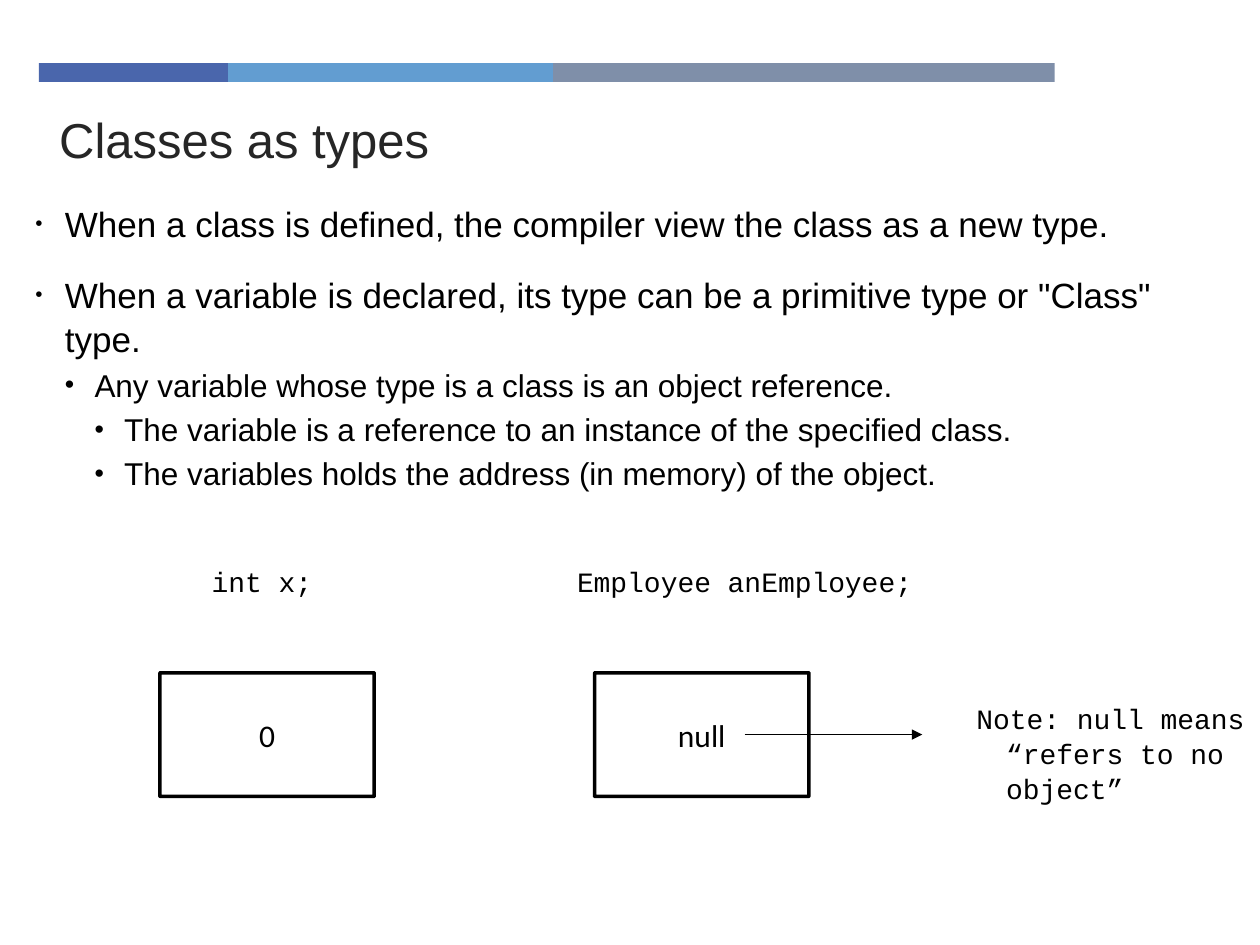
from itertools import accumulate

from lxml import etree
from pptx import Presentation
from pptx.dml.color import RGBColor
from pptx.enum.shapes import MSO_CONNECTOR, MSO_SHAPE
from pptx.enum.text import MSO_ANCHOR, MSO_AUTO_SIZE, PP_ALIGN
from pptx.oxml.ns import qn
from pptx.util import Inches, Pt

RECTANGLE, ROUNDED = MSO_SHAPE.RECTANGLE, MSO_SHAPE.ROUNDED_RECTANGLE
STRAIGHT = MSO_CONNECTOR.STRAIGHT
TOP, MIDDLE = MSO_ANCHOR.TOP, MSO_ANCHOR.MIDDLE
NO_AUTOFIT = MSO_AUTO_SIZE.NONE
LEFT, CENTER = PP_ALIGN.LEFT, PP_ALIGN.CENTER

BLACK = RGBColor(0x00, 0x00, 0x00)
WHITE = RGBColor(0xFF, 0xFF, 0xFF)
CHARCOAL = RGBColor(0x26, 0x26, 0x26)
INDIGO = RGBColor(0x4A, 0x66, 0xAC)
SKY = RGBColor(0x62, 0x9D, 0xD1)
SLATE = RGBColor(0x7F, 0x8F, 0xA9)

BAND_LEFT, BAND_TOP, BAND_HEIGHT = 0.31, 0.5, 0.15
BAND = [(1.5, INDIGO), (2.58, SKY), (3.98, SLATE)]

POINTS = [
    (0, "When a class is defined, the compiler view the class as a new type.", 2.8),
    (0, 'When a variable is declared, its type can be a primitive type or "Class" type.', 16),
    (1, "Any variable whose type is a class is an object reference.", 2.8),
    (2, "The variable is a reference to an instance of the specified class.", 2.8),
    (2, "The variables holds the address (in memory) of the object.", 2.8),
]
INDENT = 0.235
LINE_SPACING = 1.04

CODE_TOP, CODE_HEIGHT = 4.47, 0.26
CELL_TOP, CELL_WIDTH, CELL_HEIGHT = 5.34, 1.7, 0.98
VARIABLES = [
    ("int x;", 1.68, 0.89, "0", 1.27),
    ("Employee anEmployee;", 4.58, 2.94, "null", 4.72),
]


def place(shape, left, top, width, height):
    """Move and size a placeholder, in inches."""
    shape.left, shape.top = Inches(left), Inches(top)
    shape.width, shape.height = Inches(width), Inches(height)


def set_font(paragraph, name, size, color=BLACK):
    """Format all the text of a paragraph."""
    font = paragraph.font
    font.name, font.size, font.color.rgb = name, Pt(size), color


def set_frame(frame, anchor, inset=0):
    """Fix wrapping, anchor and insets of a text frame."""
    frame.word_wrap = True
    frame.auto_size = NO_AUTOFIT
    frame.vertical_anchor = anchor
    frame.margin_left = frame.margin_right = Inches(inset)
    frame.margin_top = frame.margin_bottom = 0


def set_hanging(paragraph, depth=1):
    """Indent a paragraph so that its first line hangs out by one step."""
    properties = paragraph._p.get_or_add_pPr()
    properties.set("marL", str(Inches(INDENT * depth)))
    properties.set("indent", str(-Inches(INDENT)))
    return properties


def add_bullet(properties, percent):
    """Give a paragraph a black round bullet of relative size."""
    color = etree.SubElement(properties, qn("a:buClr"))
    etree.SubElement(color, qn("a:srgbClr"), val=str(BLACK))
    etree.SubElement(properties, qn("a:buSzPct"), val=str(percent * 1000))
    etree.SubElement(properties, qn("a:buFont"), typeface="Arial")
    etree.SubElement(properties, qn("a:buChar"), char="•")


def add_block(slide, kind, left, top, width, height, fill):
    """Add a filled shape without outline or shadow."""
    block = slide.shapes.add_shape(
        kind, Inches(left), Inches(top), Inches(width), Inches(height))
    block.shadow.inherit = False
    block.fill.solid()
    block.fill.fore_color.rgb = fill
    block.line.fill.background()
    return block


def add_band(slide):
    """Lay the coloured segments end to end above the title."""
    lefts = accumulate((width for width, _ in BAND), initial=BAND_LEFT)
    for left, (width, color) in zip(lefts, BAND):
        add_block(slide, RECTANGLE, left, BAND_TOP, width, BAND_HEIGHT, color)


def fill_title(title, text):
    """Write the slide title."""
    place(title, 0.37, 0.8, 7.16, 0.6)
    set_frame(title.text_frame, MIDDLE, 0.1)
    heading = title.text_frame.paragraphs[0]
    heading.text = text
    heading.alignment = LEFT
    set_font(heading, "Arial", 28, CHARCOAL)


def fill_points(body):
    """Write the nested bullet list."""
    place(body, 0.28, 1.59, 9.43, 2.28)
    frame = body.text_frame
    set_frame(frame, TOP)
    frame.text = "\n".join(text for _, text, _ in POINTS)
    for point, (level, _, gap) in zip(frame.paragraphs, POINTS):
        point.level = level
        point.space_before = Pt(gap)
        point.line_spacing = LINE_SPACING
        add_bullet(set_hanging(point, level + 1), 85 if level else 59)
        set_font(point, "Arial", 18 if level else 20)


def add_code(slide, text, left, top, width, height):
    """Add a monospaced text with a hanging indent."""
    box = slide.shapes.add_textbox(
        Inches(left), Inches(top), Inches(width), Inches(height))
    set_frame(box.text_frame, TOP)
    code = box.text_frame.paragraphs[0]
    code.text = text
    code.space_before = Pt(2.8)
    code.line_spacing = LINE_SPACING
    set_hanging(code)
    set_font(code, "Courier New", 16)


def add_cell(slide, value, left):
    """Add a memory cell that holds a value."""
    cell = add_block(slide, ROUNDED, left, CELL_TOP, CELL_WIDTH, CELL_HEIGHT, WHITE)
    cell.adjustments[0] = 0.002
    cell.line.color.rgb = BLACK
    cell.line.width = Pt(2)
    set_frame(cell.text_frame, MIDDLE)
    content = cell.text_frame.paragraphs[0]
    content.text = value
    content.alignment = CENTER
    set_font(content, "Calibri", 18)


def add_arrow(slide, start, end, y):
    """Add a thin horizontal arrow."""
    arrow = slide.shapes.add_connector(
        STRAIGHT, Inches(start), Inches(y), Inches(end), Inches(y))
    arrow.line.color.rgb = BLACK
    arrow.line.width = Pt(0.75)
    etree.SubElement(arrow.line._get_or_add_ln(), qn("a:tailEnd"), type="triangle")
    etree.SubElement(arrow._element.spPr, qn("a:effectLst"))


def main():
    """Build the slide and save it."""
    deck = Presentation()
    deck.slide_width, deck.slide_height = Inches(10), Inches(7.5)
    slide = deck.slides.add_slide(deck.slide_layouts[1])
    add_band(slide)
    fill_title(slide.shapes.title, "Classes as types")
    fill_points(slide.placeholders[1])
    for declaration, code_left, code_width, value, cell_left in VARIABLES:
        add_code(slide, declaration, code_left, CODE_TOP, code_width, CODE_HEIGHT)
        add_cell(slide, value, cell_left)
    add_arrow(slide, 5.91, 7.32, CELL_TOP + CELL_HEIGHT / 2)
    add_code(slide, "Note: null means “refers to no object”", 7.75, 5.56, 2.5, 0.53)
    deck.save("out.pptx")


if __name__ == "__main__":
    main()
